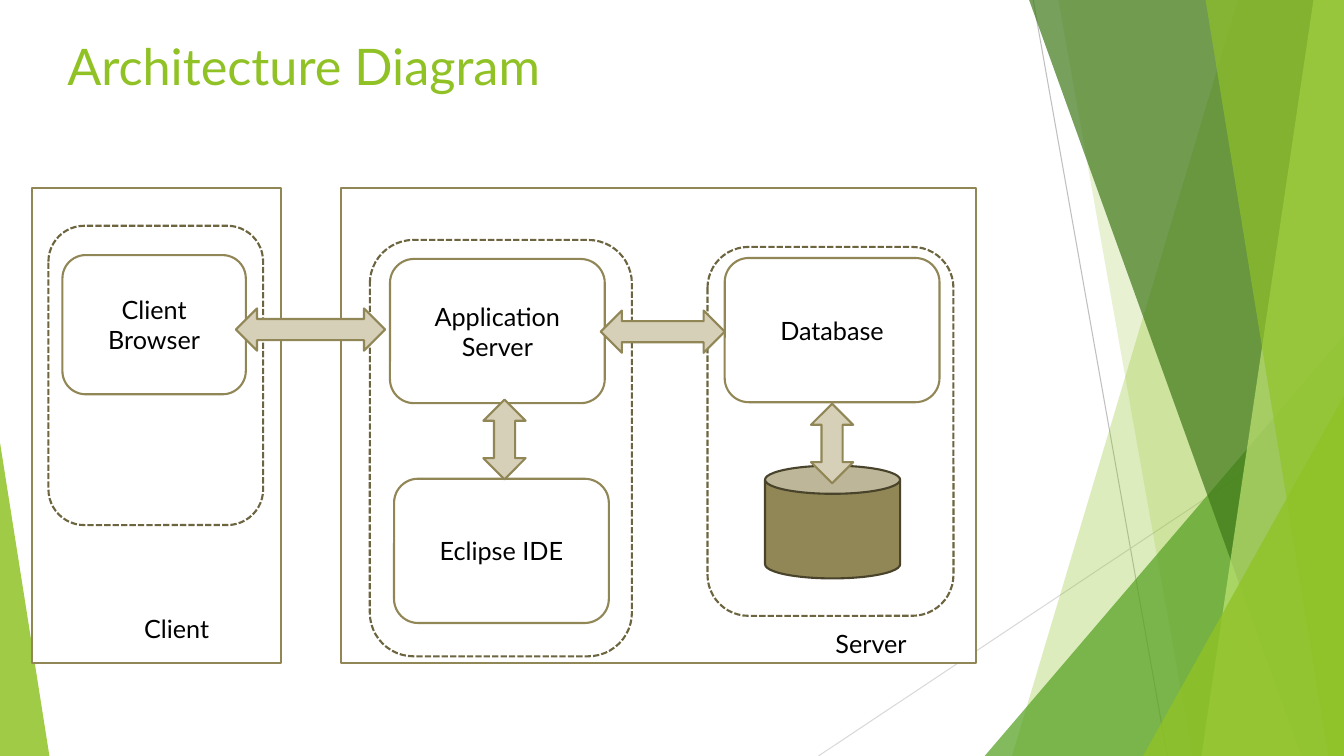
from dataclasses import dataclass

from lxml import etree
from pptx import Presentation
from pptx.dml.color import RGBColor
from pptx.enum.dml import MSO_LINE
from pptx.enum.shapes import MSO_CONNECTOR, MSO_SHAPE
from pptx.enum.text import MSO_ANCHOR, MSO_AUTO_SIZE, PP_ALIGN
from pptx.oxml.ns import qn
from pptx.util import Pt

STRAIGHT = MSO_CONNECTOR.STRAIGHT
RECT, ROUND, CAN = MSO_SHAPE.RECTANGLE, MSO_SHAPE.ROUNDED_RECTANGLE, MSO_SHAPE.CAN
ARROW, WEDGE = MSO_SHAPE.LEFT_RIGHT_ARROW, MSO_SHAPE.ISOSCELES_TRIANGLE
DASH, CENTER, MIDDLE = MSO_LINE.SQUARE_DOT, PP_ALIGN.CENTER, MSO_ANCHOR.MIDDLE
FIT = MSO_AUTO_SIZE.SHAPE_TO_FIT_TEXT

WIDE, HIGH = 960, 540
FONT = "Lato"
WHITE, BLACK, GREEN = "FFFFFF", "000000", "90C226"
TAN, DARK, OLIVE, SAND = "918655", "48432A", "6D6540", "D6D0B8"


@dataclass
class Ray:
    start: tuple[float, float]
    end: tuple[float, float]
    color: str


@dataclass
class Shard:
    """Band from the top edge (left to right) to the bottom edge."""
    top: tuple[float, float]
    base: tuple[float, float]
    color: str
    alpha: int


@dataclass
class Corner:
    """Right triangle standing on the bottom edge."""
    left: float
    width: float
    height: float
    peak: float
    color: str
    alpha: int


@dataclass
class Part:
    kind: int
    left: float
    top: float
    width: float
    height: float
    fill: str | None = WHITE
    line: str = TAN
    text: str = ""
    turn: int = 0
    dashed: bool = False


@dataclass
class Label:
    left: float
    top: float
    width: float
    height: float
    text: str
    size: int = 18
    color: str = BLACK
    wrap: bool = False


RAYS = [
    Ray((738, 0), (833.8, HIGH), "BFBFBF"),
    Ray((WIDE, 290.2), (584.6, HIGH), "D9D9D9"),
]
DECOR = [
    Shard((884.2, WIDE), (722.9, WIDE), GREEN, 30),
    Shard((756, WIDE), (851.8, WIDE), GREEN, 20),
    Corner(703.4, 256.6, 300.2, 1, "54A021", 72),
    Shard((735.1, WIDE), (929.5, WIDE), "3F7819", 70),
    Shard((938.2, WIDE), (858.2, WIDE), "C0E474", 70),
    Shard((861.1, WIDE), (949, WIDE), GREEN, 65),
    Corner(816.5, 143.5, 257, 1, GREEN, 80),
    Corner(0, 35.3, 223.9, 0, GREEN, 85),
]
PARTS = [
    # Frames
    Part(RECT, 23, 134.6, 177.8, 339.1),
    Part(RECT, 243.4, 134.6, 453.6, 339.1),
    # Components
    Part(ROUND, 44.6, 182.2, 131, 99.4, text="Client Browser"),
    Part(ROUND, 278.6, 185, 153.4, 103, text="Application\nServer"),
    Part(ROUND, 281.5, 342, 153.4, 103, text="Eclipse IDE"),
    Part(ROUND, 517.7, 184.3, 153.4, 103, text="Database"),
    Part(CAN, 546.5, 332.6, 96.5, 80.6, TAN, DARK),
    # Dashed groups and arrows
    Part(ROUND, 264.2, 171.4, 187.2, 297.4, None, OLIVE, dashed=True),
    Part(ROUND, 505.4, 176.4, 175.7, 263.5, None, OLIVE, dashed=True),
    Part(ARROW, 331.9, 298.8, 56.9, 30.2, SAND, turn=90),
    Part(ARROW, 565.9, 301.7, 56.9, 30.2, SAND, turn=90),
    Part(ROUND, 34.6, 161.3, 153.4, 213.8, None, OLIVE, dashed=True),
    Part(ARROW, 168.5, 220.3, 106.6, 30.2, SAND),
    Part(ARROW, 429.1, 221.8, 88.6, 30.2, SAND),
]
LABELS = [
    Label(41, 21.6, 588.2, 90, "Architecture Diagram", 36, GREEN, True),
    Label(95.8, 434.9, 61.2, 28.8, "Client"),
    Label(589.7, 445, 73.4, 28.8, "Server"),
]


def rgb(color: str) -> RGBColor:
    return RGBColor.from_string(color)


def points(*values: float) -> list[Pt]:
    return [Pt(value) for value in values]


def write(frame, text: str, size: int, color: str, align=None) -> None:
    frame.text = text
    style = {"name": FONT, "size": Pt(size)}
    for para in frame.paragraphs:
        para.alignment = align
        for run in para.runs:
            for key, value in style.items():
                setattr(run.font, key, value)
            run.font.color.rgb = rgb(color)


def draw_ray(slide, ray: Ray) -> None:
    line = slide.shapes.add_connector(STRAIGHT, *points(*ray.start, *ray.end))
    line.line.color.rgb = rgb(ray.color)
    line.line.width = Pt(0.75)
    props = line._element.spPr
    etree.SubElement(props, qn("a:effectLst"))


def tint(shape, color: str, alpha: int) -> None:
    shape.shadow.inherit = False
    shape.line.fill.background()
    shape.fill.solid()
    shape.fill.fore_color.rgb = rgb(color)
    tone = shape._element.spPr.find(qn("a:solidFill"))[0]
    etree.SubElement(tone, qn("a:alpha"), val=str(alpha * 1000))


def draw_shard(slide, shard: Shard) -> None:
    (left, right), (low, far) = shard.top, shard.base
    path = slide.shapes.build_freeform(Pt(left), 0)
    corners = [(right, 0), (far, HIGH), (low, HIGH)]
    path.add_line_segments([tuple(points(*spot)) for spot in corners])
    tint(path.convert_to_shape(), shard.color, shard.alpha)


def draw_corner(slide, item: Corner) -> None:
    place = points(item.left, HIGH - item.height, item.width, item.height)
    shape = slide.shapes.add_shape(WEDGE, *place)
    shape.adjustments[0] = item.peak
    tint(shape, item.color, item.alpha)


def draw_part(slide, part: Part) -> None:
    place = points(part.left, part.top, part.width, part.height)
    shape = slide.shapes.add_shape(part.kind, *place)
    shape.shadow.inherit = False
    shape.rotation = part.turn
    if part.fill:
        shape.fill.solid()
        shape.fill.fore_color.rgb = rgb(part.fill)
    else:
        shape.fill.background()
    shape.line.color.rgb = rgb(part.line)
    shape.line.width = Pt(1.5)
    if part.dashed:
        shape.line.dash_style = DASH
    if part.text:
        shape.text_frame.vertical_anchor = MIDDLE
        write(shape.text_frame, part.text, 18, BLACK, CENTER)


def draw_label(slide, label: Label) -> None:
    place = points(label.left, label.top, label.width, label.height)
    frame = slide.shapes.add_textbox(*place).text_frame
    frame.word_wrap = label.wrap
    if not label.wrap:
        frame.auto_size = FIT
    write(frame, label.text, label.size, label.color)


def main() -> None:
    deck = Presentation()
    deck.slide_width, deck.slide_height = points(WIDE, HIGH)
    slide = deck.slides.add_slide(deck.slide_layouts[6])
    for ray in RAYS:
        draw_ray(slide, ray)
    for item in DECOR:
        draw = draw_shard if isinstance(item, Shard) else draw_corner
        draw(slide, item)
    for part in PARTS:
        draw_part(slide, part)
    for label in LABELS:
        draw_label(slide, label)
    deck.save("out.pptx")


if __name__ == "__main__":
    main()
